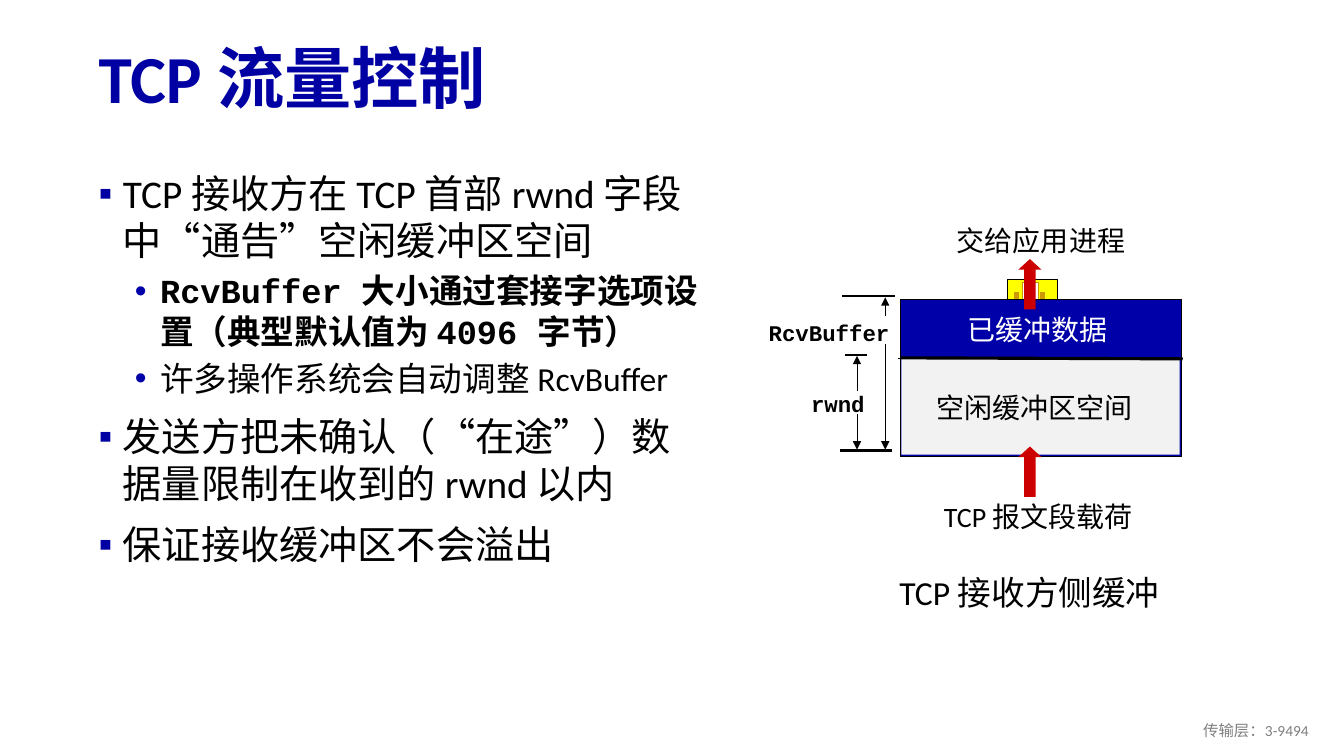
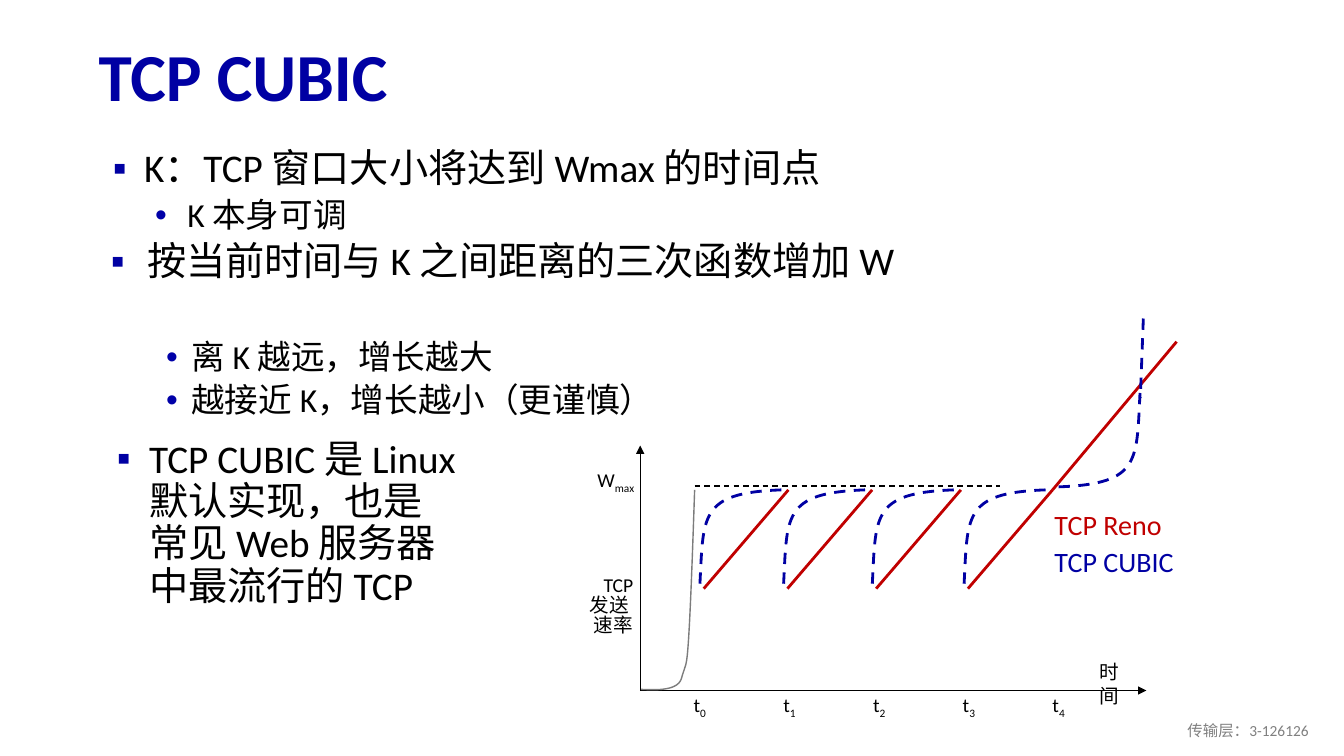
from lxml.etree import SubElement
from pptx import Presentation
from pptx.dml.color import RGBColor
from pptx.enum.dml import MSO_LINE
from pptx.enum.shapes import MSO_CONNECTOR, MSO_SHAPE
from pptx.enum.text import MSO_ANCHOR, MSO_AUTO_SIZE, PP_ALIGN
from pptx.oxml.ns import qn
from pptx.util import Pt

PX = 9144  # EMU in one px: 100 px make an inch
SLIDE_WIDTH, SLIDE_HEIGHT = 1333, 750
COLORS = {
    "black": "000000", "white": "FFFFFF", "navy": "0000A3", "blue": "0000A8",
    "red": "CC0000", "dark_red": "C00000", "yellow": "FFFF00", "ochre": "CC9900",
    "free_space": "F2F2F2", "gray": "7C7C7C", "footer": "808080",
}
BULLETS = (("▪", "navy", 28, 10), ("•", "blue", 24, 5))  # mark, color, size, space before
CENTER, RIGHT = PP_ALIGN.CENTER, PP_ALIGN.RIGHT


def rgb(name):
    return RGBColor.from_string(COLORS[name])


def emu(*lengths):
    return [length * PX for length in lengths]


def add_frame(slide, box, wrap=True, anchor=MSO_ANCHOR.TOP):
    frame = slide.shapes.add_textbox(*emu(*box)).text_frame
    frame.word_wrap = wrap
    frame.vertical_anchor = anchor
    if not wrap:
        frame.auto_size = MSO_AUTO_SIZE.SHAPE_TO_FIT_TEXT
    return frame


def write(frame, text, *, size=20, color="black", font="Calibri", bold=False, align=None,
          line_spacing=None, before=0, subscript="", bullet=None, indent=(0, 0)):
    """Fill the empty first paragraph of the frame, or add one after the last."""
    first = not frame.text
    paragraph = frame.paragraphs[0] if first else frame.add_paragraph()
    if bullet:
        mark, mark_color = bullet
        properties = paragraph._p.get_or_add_pPr()
        margin, hanging = emu(*indent)
        properties.set("marL", str(margin))
        properties.set("indent", str(hanging))
        bullet_color = SubElement(properties, qn("a:buClr"))
        SubElement(bullet_color, qn("a:srgbClr"), val=COLORS[mark_color])
        SubElement(properties, qn("a:buFont"), typeface="Arial")
        SubElement(properties, qn("a:buChar"), char=mark)
    if align is not None:
        paragraph.alignment = align
    if line_spacing:
        paragraph.line_spacing = line_spacing
    if before and not first:
        paragraph.space_before = Pt(before)
    for part in filter(None, (text, subscript)):
        run = paragraph.add_run()
        run.text = part
        run.font.size, run.font.name, run.font.bold = Pt(size), font, bold
        run.font.color.rgb = rgb(color)
    if subscript:
        run._r.get_or_add_rPr().set("baseline", "-25000")


def add_label(slide, box, text, **text_format):
    write(add_frame(slide, box, wrap=False), text, **text_format)


def add_bullets(slide, box, items, indents, line_spacing=None):
    """Items are (level, text) or (level, text, format); indents hold one pair per level."""
    frame = add_frame(slide, box)
    for level, text, *extra in items:
        mark, color, size, before = BULLETS[level]
        write(frame, text, size=size, before=before, bullet=(mark, color),
              indent=indents[level], line_spacing=line_spacing, **(extra[0] if extra else {}))


def add_block(slide, box, fill, line=None, preset=MSO_SHAPE.RECTANGLE):
    shape = slide.shapes.add_shape(preset, *emu(*box))
    shape.shadow.inherit = False
    shape.fill.solid()
    shape.fill.fore_color.rgb = rgb(fill)
    if line:
        shape.line.color.rgb = rgb(line)
        shape.line.width = Pt(0.75)
    else:
        shape.line.fill.background()
    return shape


def style_line(line, color, width, dashed):
    line.color.rgb = rgb(color)
    line.width = Pt(width)
    if dashed:
        line.dash_style = MSO_LINE.DASH


def add_line(slide, start, end, color="black", width=1, dashed=False, arrow=False):
    connector = slide.shapes.add_connector(MSO_CONNECTOR.STRAIGHT, *emu(*start, *end))
    style_line(connector.line, color, width, dashed)
    if arrow:
        SubElement(connector.line._get_or_add_ln(), qn("a:tailEnd"), type="triangle")
    SubElement(connector._element.spPr, qn("a:effectLst"))


def add_curve(slide, controls, color, width, dashed=False):
    """Draw joined cubic curves; each takes three controls after the shared end."""
    start, *others = [emu(*point) for point in controls]
    builder = slide.shapes.build_freeform(*start)
    builder.add_line_segments(others, close=False)
    shape = builder.convert_to_shape()
    segments = list(shape._element.iter(qn("a:lnTo")))
    outline = segments[0].getparent()
    for index, segment in enumerate(segments):
        if index % 3 == 0:
            cubic = SubElement(outline, qn("a:cubicBezTo"))
        cubic.append(segment[0])
        outline.remove(segment)
    shape.shadow.inherit = False
    shape.fill.background()
    style_line(shape.line, color, width, dashed)


def add_base(presentation, title, title_top, page):
    """Blank slide with the shared title and footer."""
    slide = presentation.slides.add_slide(presentation.slide_layouts[6])
    title_frame = add_frame(slide, (88, title_top, 1245, 98), anchor=MSO_ANCHOR.MIDDLE)
    write(title_frame, title, size=48, color="navy", bold=True, line_spacing=0.9)
    footer = add_frame(slide, (1008, 705, 300, 40), anchor=MSO_ANCHOR.MIDDLE)
    write(footer, f"传输层：{page}", size=11, color="footer", align=RIGHT)
    return slide


def add_process_icon(slide, left, top):
    add_block(slide, (left, top, 50, 23), "yellow", "black")
    add_block(slide, (left + 15, top + 3, 16, 17), "white", "ochre")
    for x in (7, 33):
        add_block(slide, (left + x, top + 13, 4, 6), "ochre", "ochre")


def add_data_arrow(slide, left, top):
    arrow = add_block(slide, (left, top, 23, 50), "red", preset=MSO_SHAPE.UP_ARROW)
    arrow.adjustments[0], arrow.adjustments[1] = 0.5, 0.46


def add_buffer(slide, box):
    """Receive buffer: data above, free space below, dimensions on the left."""
    left, top, width, height = box
    bottom, level = top + height, top + 58
    add_process_icon(slide, left + 106, top - 20)
    add_block(slide, box, "blue", "black")
    add_line(slide, (left - 2, level + 1), (left + width + 1, level + 1), width=0.75)
    add_data_arrow(slide, left + 117, top - 40)
    add_block(slide, (left + 1, level, width - 3, height - 60), "free_space")
    add_data_arrow(slide, left + 117, bottom - 10)
    add_line(slide, (left, level), (left + width + 1, level + 1), width=2.25)

    for x, y, label_width, text, size, font, color in (
            (43, 8, 186, "已缓冲数据", 20, "Lato", "white"),
            (19, 86, 228, "空闲缓冲区空间", 20, "Lato", "black"),
            (-1, 194, 276, "TCP 报文段载荷", 20, "Calibri", "black"),
            (4, -80, 271, "交给应用进程", 20, "Calibri", "black"),
            (-67, 265, 390, "TCP 接收方侧缓冲", 24, "Calibri", "black")):
        add_label(slide, (left + x, top + y, label_width, 43), text,
                  size=size, font=font, color=color, align=CENTER)

    code = {"size": 16, "font": "Courier New", "bold": True}
    add_label(slide, (left - 99, top + 85, 74, 37), "rwnd", align=CENTER, **code)
    add_label(slide, (left - 141, top + 15, 140, 37), "RcvBuffer", align=RIGHT, **code)
    for x, start, end in ((-43, 91, 56), (-43, 114, 149), (-15, 17, -2), (-15, 44, 149)):
        add_line(slide, (left + x, top + start), (left + x, top + end), width=0.75, arrow=True)
    for x, y, length in ((-60, 150, 52), (-55, 55, 22), (-58, -3, 53)):
        add_line(slide, (left + x, top + y), (left + x + length, top + y), width=1.5)


def add_cubic_curve(slide, anchor, direction=1):
    """Dashed growth from a low anchor, or turned half round for direction -1."""
    x, y = anchor
    offsets = ((81, -98), (-2, -95), (4, -72), (0, 0))
    add_curve(slide, [(x + direction * dx, y + direction * dy) for dx, dy in offsets],
              "navy", 2, dashed=True)


def add_rate_plot(slide, box):
    """Sending rate over time for both variants."""
    left, top, width, height = box
    bottom, low, high = top + height, top + 142, top + 44
    origin = (left, bottom)
    add_line(slide, origin, (left + width, bottom), arrow=True)
    add_line(slide, origin, (left, top), arrow=True)
    slow_start = ((54, -199), (52, -139), (50, -82), (48, -51), (46, -20), (45, -27),
                  (41, -12), (37, 2), (10, -1), (1, -1))
    add_curve(slide, [(left + x, bottom + y) for x, y in slow_start], "gray", 1)
    add_line(slide, (left + 54, top + 40), (left + 357, top + 40), dashed=True)

    for x in (63, 146, 234, 325):
        add_line(slide, (left + x + 84, high), (left + x, low), "dark_red", 2)
        add_cubic_curve(slide, (left + x - 4, low))
    add_line(slide, (left + 409, high), (left + 532, top - 103), "dark_red", 2)
    add_cubic_curve(slide, (left + 496, top - 57), direction=-1)
    add_line(slide, (left + 499, top - 126), (left + 496, top - 47), "navy", 2, dashed=True)

    axis_text = {"size": 14, "align": RIGHT, "line_spacing": 0.85}
    rate = add_frame(slide, (left - 85, top + 125, 88, 97), wrap=False)
    for text in ("TCP", "发送 ", "速率"):
        write(rate, text, **axis_text)
    write(add_frame(slide, (left + 446, bottom - 35, 57, 34)), "时间", size=14)
    add_label(slide, (left - 56, top + 19, 60, 31), "W", subscript="max", **axis_text)
    for tick in range(5):
        add_label(slide, (left + 41 + 89 * tick, bottom - 1, 34, 31), "t",
                  subscript=str(tick), **axis_text)
    legend = add_frame(slide, (left + 401, top + 62, 139, 103), wrap=False)
    for text, color in (("TCP Reno", "dark_red"), ("TCP CUBIC", "navy")):
        write(legend, text, color=color, before=6, line_spacing=0.85)


def build_flow_control(presentation):
    slide = add_base(presentation, "TCP 流量控制", 32, "3-9494")
    add_bullets(slide, (73, 163, 632, 537), (
        (0, "TCP 接收方在 TCP 首部 rwnd 字段中“通告”空闲缓冲区空间"),
        (1, "RcvBuffer 大小通过套接字选项设置（典型默认值为 4096 字节）",
         {"font": "Courier New", "bold": True}),
        (1, "许多操作系统会自动调整 RcvBuffer"),
        (0, "发送方把未确认（“在途”）数据量限制在收到的 rwnd 以内"),
        (0, "保证接收缓冲区不会溢出"),
    ), indents=((39, -24), (76, -25)))
    add_buffer(slide, (893, 297, 279, 156))


def build_cubic(presentation):
    slide = add_base(presentation, "TCP CUBIC", 30, "3-126126")
    for box, indents, items in (
            ((88, 143, 1221, 104), ((45, -31), (88, -32)),
             ((0, "K：TCP 窗口大小将达到 Wmax 的时间点"), (1, "K 本身可调"))),
            ((104, 333, 1125, 109), (None, (76, -25)),
             ((1, "离 K 越远，增长越大"), (1, "越接近 K，增长越小（更谨慎）"))),
            ((88, 431, 378, 221), ((50, -32),),
             ((0, "TCP CUBIC 是 Linux 默认实现，也是常见 Web 服务器中最流行的 TCP"),)),
            ((86, 235, 1221, 221), ((50, -36),),
             ((0, "按当前时间与 K 之间距离的三次函数增加 W"),))):
        add_bullets(slide, box, items, indents, line_spacing=0.9)
    add_rate_plot(slide, (635, 442, 502, 243))


def main():
    presentation = Presentation()
    presentation.slide_width, presentation.slide_height = emu(SLIDE_WIDTH, SLIDE_HEIGHT)
    build_flow_control(presentation)
    build_cubic(presentation)
    presentation.save("out.pptx")


if __name__ == "__main__":
    main()
